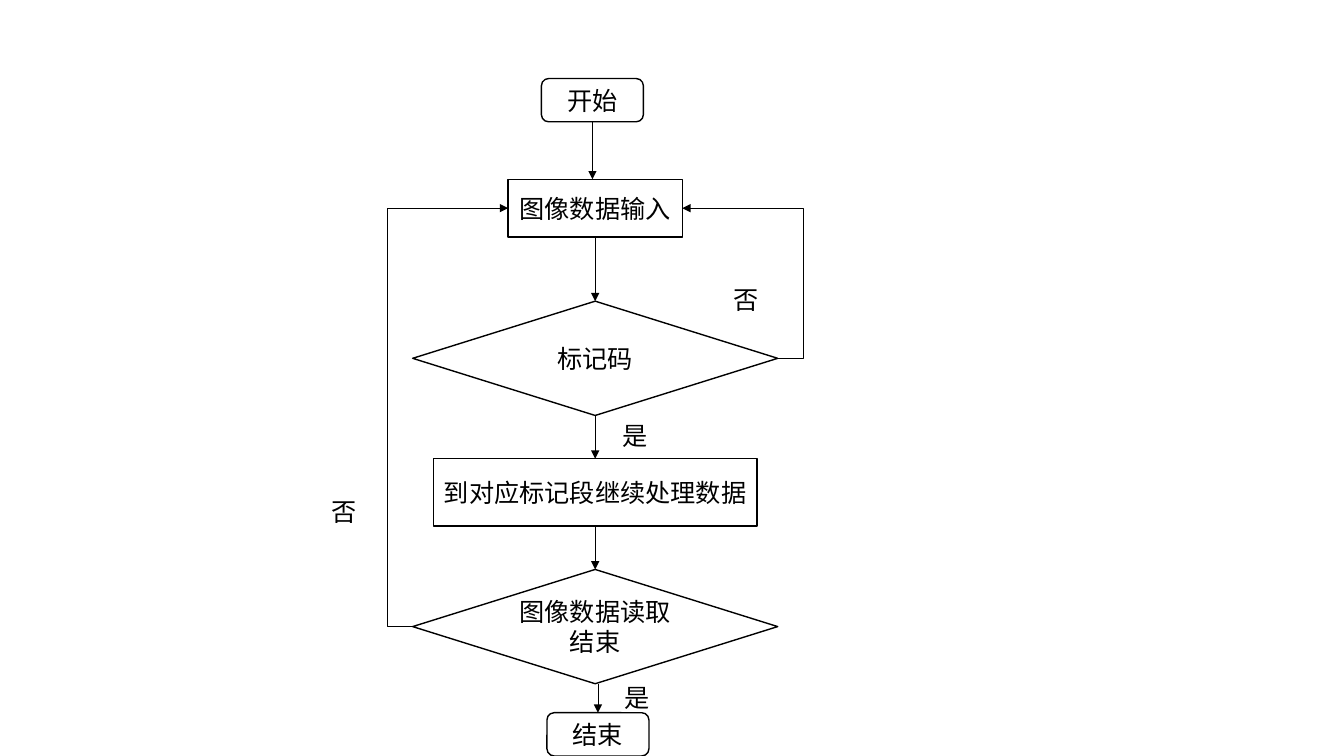
from dataclasses import dataclass

from lxml import etree
from pptx import Presentation
from pptx.dml.color import RGBColor
from pptx.enum.shapes import MSO_CONNECTOR, MSO_SHAPE
from pptx.enum.text import MSO_ANCHOR, PP_ALIGN
from pptx.oxml.ns import qn
from pptx.util import Cm, Pt

TERMINAL = MSO_SHAPE.FLOWCHART_ALTERNATE_PROCESS
PROCESS = MSO_SHAPE.FLOWCHART_PROCESS
DECISION = MSO_SHAPE.FLOWCHART_DECISION
STRAIGHT = MSO_CONNECTOR.STRAIGHT
ELBOW = MSO_CONNECTOR.ELBOW
MIDDLE = MSO_ANCHOR.MIDDLE
TOP_ANCHOR = MSO_ANCHOR.TOP
CENTER = PP_ALIGN.CENTER
LEFT_ALIGN = PP_ALIGN.LEFT
TOP, LEFT, BOTTOM, RIGHT = range(4)


@dataclass(frozen=True)
class Theme:
    ink: RGBColor = RGBColor(0, 0, 0)
    font: str = "Noto Sans CJK SC"
    size: float = 18
    outline: float = 1
    arrow: float = 0.5


THEME = Theme()


def write_text(shape, text, align=CENTER, anchor=MIDDLE, inset=0.2):
    frame = shape.text_frame
    frame.word_wrap = True
    frame.vertical_anchor = anchor
    frame.margin_left = frame.margin_right = Cm(inset)
    paragraph = frame.paragraphs[0]
    paragraph.alignment = align
    run = paragraph.add_run()
    run.text = text
    run.font.name = THEME.font
    run.font.size = Pt(THEME.size)
    run.font.color.rgb = THEME.ink
    east_asian = etree.SubElement(run.font._element, qn("a:ea"))
    east_asian.set("typeface", THEME.font)


def add_step(slide, kind, text, center, top, width, height):
    step = slide.shapes.add_shape(
        kind, Cm(center - width / 2), Cm(top), Cm(width), Cm(height)
    )
    step.shadow.inherit = False
    step.fill.background()
    step.line.color.rgb = THEME.ink
    step.line.width = Pt(THEME.outline)
    write_text(step, text)
    return step


def add_answer(slide, text, left, top):
    answer = slide.shapes.add_textbox(Cm(left), Cm(top), Cm(2.31), Cm(1.02))
    write_text(answer, text, align=LEFT_ALIGN, anchor=TOP_ANCHOR, inset=0.25)


def add_arrow(slide, kind, x1, y1, x2, y2):
    arrow = slide.shapes.add_connector(kind, x1, y1, x2, y2)
    arrow.line.color.rgb = THEME.ink
    arrow.line.width = Pt(THEME.arrow)
    etree.SubElement(arrow.line._get_or_add_ln(), qn("a:tailEnd")).set("type", "triangle")
    etree.SubElement(arrow._element.spPr, qn("a:effectLst"))
    return arrow


def add_down_arrow(slide, upper, lower, axis):
    add_arrow(slide, STRAIGHT, Cm(axis), upper.top + upper.height, Cm(axis), lower.top)


def add_return_arrow(slide, source, target, side, bulge):
    arrow = add_arrow(slide, ELBOW, 0, 0, 0, 0)
    arrow.begin_connect(source, side)
    arrow.end_connect(target, side)
    ratio = -Cm(bulge) / abs(arrow.end_x - arrow.begin_x)
    guides = arrow._element.spPr.find(qn("a:prstGeom")).get_or_add_avLst()
    guide = etree.SubElement(guides, qn("a:gd"))
    guide.set("name", "adj1")
    guide.set("fmla", f"val {round(ratio * 100000)}")


def add_flowchart(slide, left, top, width):
    axis = left + width / 2
    start_axis, end_axis = axis - 0.07, axis + 0.07

    start = add_step(slide, TERMINAL, "开始", start_axis, top, 2.57, 1.09)
    data_input = add_step(slide, PROCESS, "图像数据输入", axis, top + 2.54, 4.39, 1.45)
    marker = add_step(slide, DECISION, "标记码", axis, top + 5.61, width, 2.88)
    handling = add_step(
        slide, PROCESS, "到对应标记段继续处理数据", axis, top + 9.58, 8.16, 1.7
    )
    finished = add_step(slide, DECISION, "图像数据读取结束", axis, top + 12.37, width, 2.88)
    end = add_step(slide, TERMINAL, "结束", end_axis, top + 15.98, 2.57, 1.09)

    steps = [start, data_input, marker, handling, finished, end]
    axes = [start_axis, axis, axis, axis, end_axis]
    for upper, lower, arrow_axis in zip(steps, steps[1:], axes):
        add_down_arrow(slide, upper, lower, arrow_axis)
    for decision, side in ((marker, RIGHT), (finished, LEFT)):
        add_return_arrow(slide, decision, data_input, side, 0.64)

    for text, dx, dy in (
        ("否", 7.84, 5.06),
        ("是", 5.04, 8.48),
        ("否", -2.3, 10.39),
        ("是", 5.09, 15.09),
    ):
        add_answer(slide, text, left + dx, top + dy)


def main():
    deck = Presentation()
    deck.slide_width, deck.slide_height = Cm(33.87), Cm(19.05)
    slide = deck.slides.add_slide(deck.slide_layouts[6])
    add_flowchart(slide, left=10.4, top=1.98, width=9.2)
    deck.save("out.pptx")


if __name__ == "__main__":
    main()
